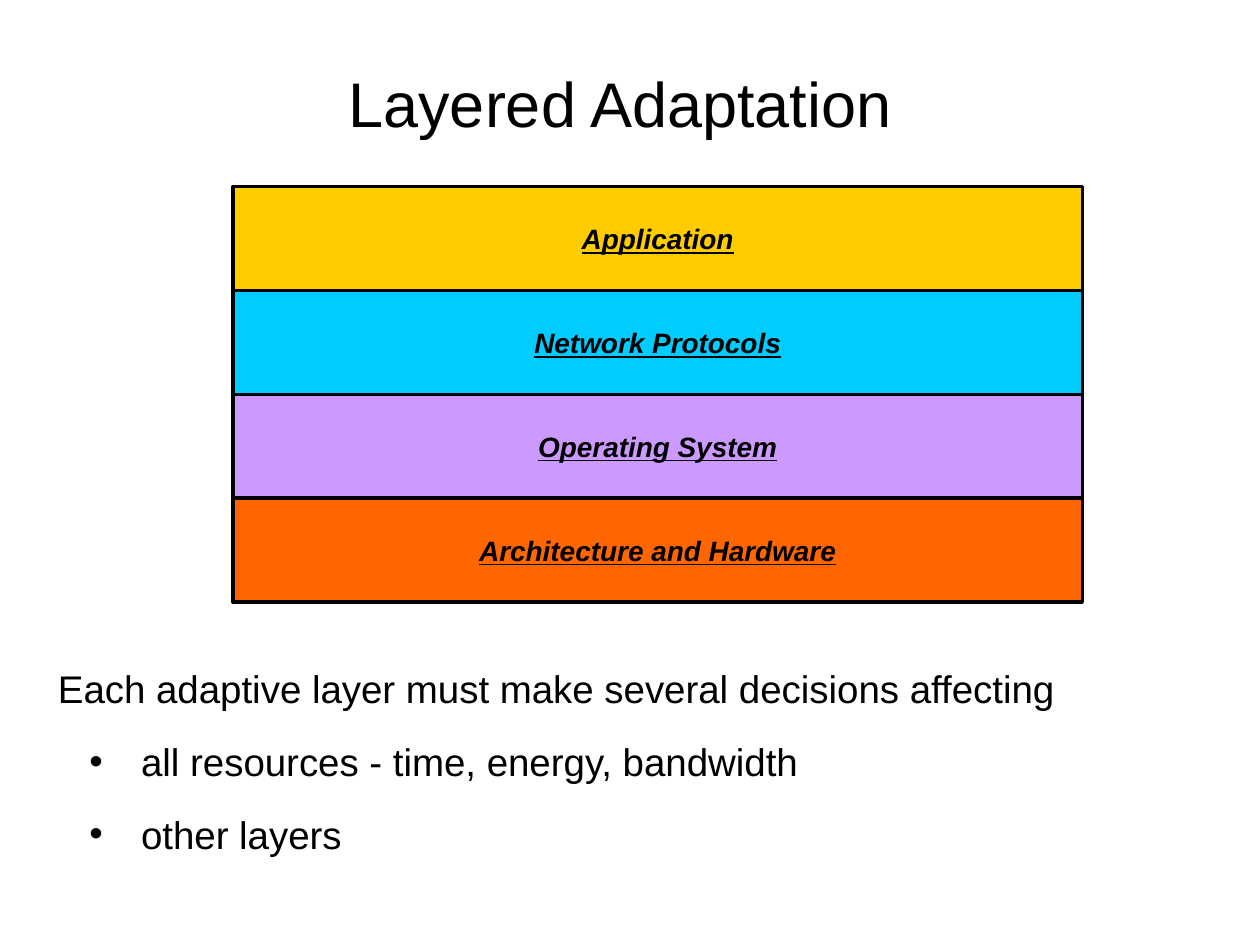
from lxml import etree
from pptx import Presentation
from pptx.dml.color import RGBColor
from pptx.enum.shapes import MSO_SHAPE
from pptx.enum.text import MSO_ANCHOR, MSO_AUTO_SIZE, PP_ALIGN
from pptx.oxml.ns import qn
from pptx.util import Inches, Pt

BLACK = "000000"
LAYERS = [
    ("Application", "FFCC00"),
    ("Network Protocols", "00CCFF"),
    ("Operating System", "CC99FF"),
    ("Architecture and Hardware", "FF6600"),
]
LAYER_LEFT, LAYER_TOP, LAYER_WIDTH, LAYER_HEIGHT = 1.85, 1.48, 6.74, 0.825
AFFECTED = ["all resources - time, energy, bandwidth", "other layers"]


def color(hex_value):
    return RGBColor.from_string(hex_value)


def set_attributes(target, values):
    for name, value in values.items():
        setattr(target, name, value)


def place(shape, left, top, width, height):
    set_attributes(shape, {"left": Inches(left), "top": Inches(top),
                           "width": Inches(width), "height": Inches(height)})


def format_font(paragraph, size, **styles):
    set_attributes(paragraph.font, {"name": "Arial", "size": Pt(size), **styles})
    paragraph.font.color.rgb = color(BLACK)


def set_bullet(paragraph, margin, hanging, char=None):
    """Set the indents in inches; without a character the bullet is turned off."""
    properties = paragraph._p.get_or_add_pPr()
    properties.set("marL", str(Inches(margin)))
    properties.set("indent", str(-Inches(hanging)))
    if char:
        etree.SubElement(properties, qn("a:buChar")).set("char", char)
    else:
        etree.SubElement(properties, qn("a:buNone"))


def write_title(title, text):
    place(title, 0.42, 0.19, 9, 1.25)
    frame = title.text_frame
    frame.text = text
    set_attributes(frame, {"auto_size": MSO_AUTO_SIZE.NONE,
                           "vertical_anchor": MSO_ANCHOR.MIDDLE})
    frame.paragraphs[0].alignment = PP_ALIGN.CENTER
    format_font(frame.paragraphs[0], 36)


def add_layer(slide, name, fill, top):
    layer = slide.shapes.add_shape(
        MSO_SHAPE.RECTANGLE, Inches(LAYER_LEFT), Inches(top),
        Inches(LAYER_WIDTH), Inches(LAYER_HEIGHT))
    layer.shadow.inherit = False
    layer.fill.solid()
    layer.fill.fore_color.rgb = color(fill)
    layer.line.color.rgb = color(BLACK)
    layer.line.width = Pt(2)
    frame = layer.text_frame
    frame.text = name
    set_attributes(frame, {"word_wrap": False,
                           "vertical_anchor": MSO_ANCHOR.MIDDLE})
    frame.paragraphs[0].alignment = PP_ALIGN.CENTER
    format_font(frame.paragraphs[0], 16, bold=True, italic=True, underline=True)


def write_decisions(body, lead, items):
    place(body, 0.36, 5.27, 9.25, 1.55)
    frame = body.text_frame
    frame.auto_size = MSO_AUTO_SIZE.SHAPE_TO_FIT_TEXT
    frame.text = lead
    opening = frame.paragraphs[0]
    set_attributes(opening, {"space_before": Pt(0), "line_spacing": 0.9})
    set_bullet(opening, 0, 0)
    format_font(opening, 22)
    for item in items:
        paragraph = frame.add_paragraph()
        set_attributes(paragraph, {"text": item, "level": 1,
                                   "space_before": Pt(15), "line_spacing": 1.0})
        set_bullet(paragraph, 0.66, 0.41, "•")
        format_font(paragraph, 22)


def main():
    presentation = Presentation()
    set_attributes(presentation, {"slide_width": Inches(10),
                                  "slide_height": Inches(7.5)})
    slide = presentation.slides.add_slide(presentation.slide_layouts[1])
    write_title(slide.shapes.title, "Layered Adaptation")
    for index, (name, fill) in enumerate(LAYERS):
        add_layer(slide, name, fill, LAYER_TOP + index * LAYER_HEIGHT)
    write_decisions(slide.placeholders[1],
                    "Each adaptive layer must make several decisions affecting",
                    AFFECTED)
    presentation.save("out.pptx")


if __name__ == "__main__":
    main()
